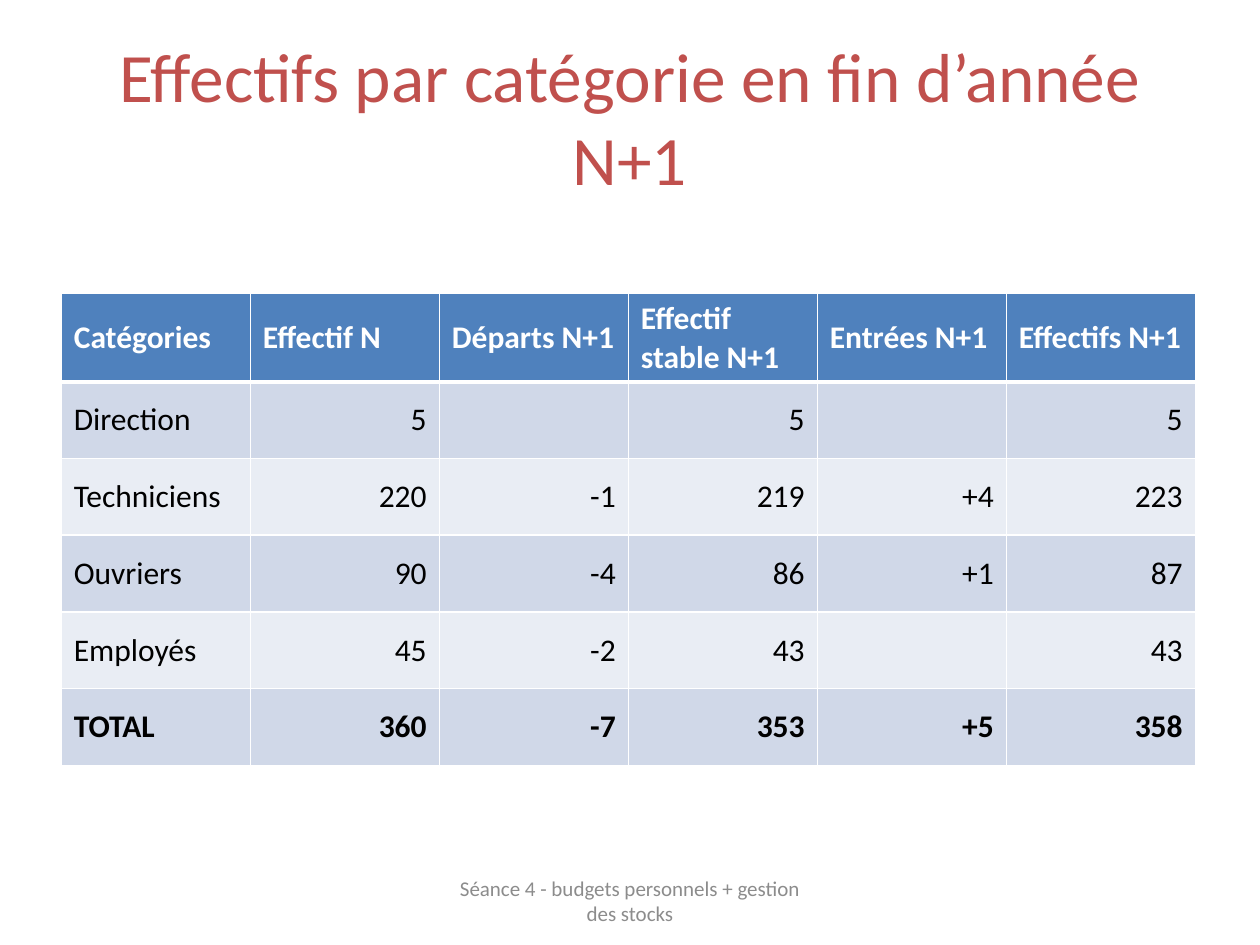
from lxml import etree
from pptx import Presentation
from pptx import util as u
from pptx.dml import color
from pptx.enum import text
from pptx.oxml import ns

PAGE_SIZE = (720, 540)
FONT = "Calibri"
WHITE, BLACK, HEADER_FILL = "FFFFFF", "000000", "4F81BD"
BAND_FILLS = ("D0D8E8", "E9EDF4")
ALIGN = text.PP_ALIGN

TEXT_BOXES = [
    ("Effectifs par catégorie en fin d’année N+1", (36, 21.6, 648, 90),
     {"size": 39.6, "color": "C0504D"}),
    ("Séance 4 - budgets personnels + gestion des stocks", (246, 500.5, 228, 28.75),
     {"size": 12, "color": "8C8C8C"}),
]

TABLE_ORIGIN = (35, 167.75)
COLUMN_WIDTH, ROW_HEIGHT = 108, 43.85
STAFF = [
    ("Catégories", "Effectif N", "Départs N+1", "Effectif stable N+1", "Entrées N+1", "Effectifs N+1"),
    ("Direction", "5", "", "5", "", "5"),
    ("Techniciens", "220", "-1", "219", "+4", "223"),
    ("Ouvriers", "90", "-4", "86", "+1", "87"),
    ("Employés", "45", "-2", "43", "", "43"),
    ("TOTAL", "360", "-7", "353", "+5", "358"),
]


def rgb(value):
    return color.RGBColor.from_string(value)


def write(frame, words, align, style):
    para = frame.paragraphs[0]
    para.alignment = align
    span = para.add_run()
    span.text = words
    values = {"name": FONT, "size": u.Pt(style["size"]), "bold": style.get("bold", False)}
    for name, value in values.items():
        setattr(span.font, name, value)
    span.font.color.rgb = rgb(style["color"])


def add_text_box(page, words, place, style):
    box = page.shapes.add_textbox(*map(u.Pt, place))
    box.text_frame.word_wrap = True
    box.text_frame.vertical_anchor = text.MSO_ANCHOR.MIDDLE
    write(box.text_frame, words, ALIGN.CENTER, style)


def set_borders(cell, widths):
    properties = cell._tc.get_or_add_tcPr()
    for side, width in widths.items():
        line = etree.SubElement(properties, ns.qn(f"a:ln{side}"), w=str(u.Pt(width)))
        fill = etree.SubElement(line, ns.qn("a:solidFill"))
        etree.SubElement(fill, ns.qn("a:srgbClr"), val=WHITE)


def add_staff_table(page):
    rows, columns = len(STAFF), len(STAFF[0])
    size = (columns * COLUMN_WIDTH, rows * ROW_HEIGHT)
    table = page.shapes.add_table(rows, columns, *map(u.Pt, TABLE_ORIGIN + size)).table
    for column in table.columns:
        column.width = u.Pt(COLUMN_WIDTH)
    for r, record in enumerate(STAFF):
        table.rows[r].height = u.Pt(ROW_HEIGHT)
        header = r == 0
        style = {"size": 18, "color": WHITE if header else BLACK, "bold": r in (0, rows - 1)}
        borders = {"L": 1, "R": 1, "T": 3 if r == 1 else 1, "B": 3 if header else 1}
        for c, words in enumerate(record):
            cell = table.cell(r, c)
            set_borders(cell, borders)
            cell.fill.solid()
            cell.fill.fore_color.rgb = rgb(HEADER_FILL if header else BAND_FILLS[(r - 1) % 2])
            cell.vertical_anchor = text.MSO_ANCHOR.MIDDLE
            if words:
                write(cell.text_frame, words, ALIGN.LEFT if header or c == 0 else ALIGN.RIGHT, style)


def main():
    deck = Presentation()
    deck.slide_width, deck.slide_height = map(u.Pt, PAGE_SIZE)
    page = deck.slides.add_slide(deck.slide_layouts[6])
    for words, place, style in TEXT_BOXES:
        add_text_box(page, words, place, style)
    add_staff_table(page)
    deck.save("out.pptx")


if __name__ == "__main__":
    main()
